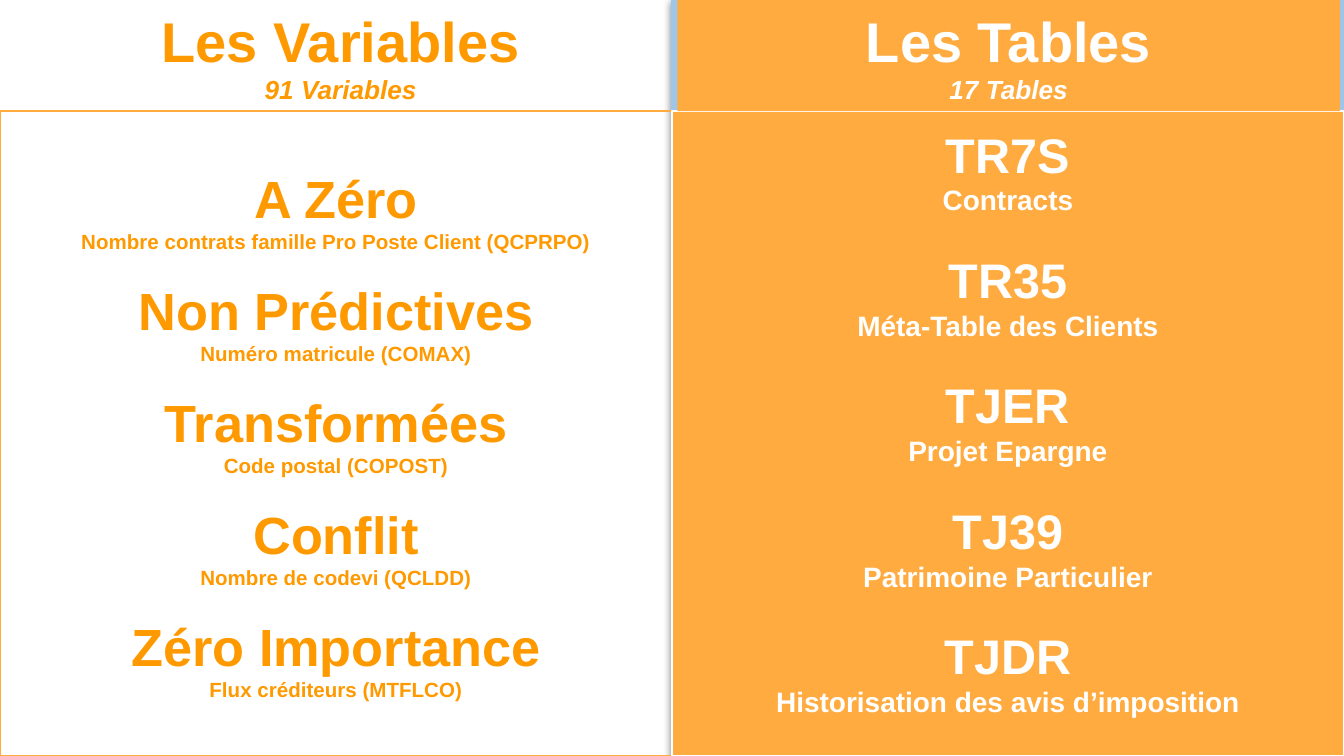
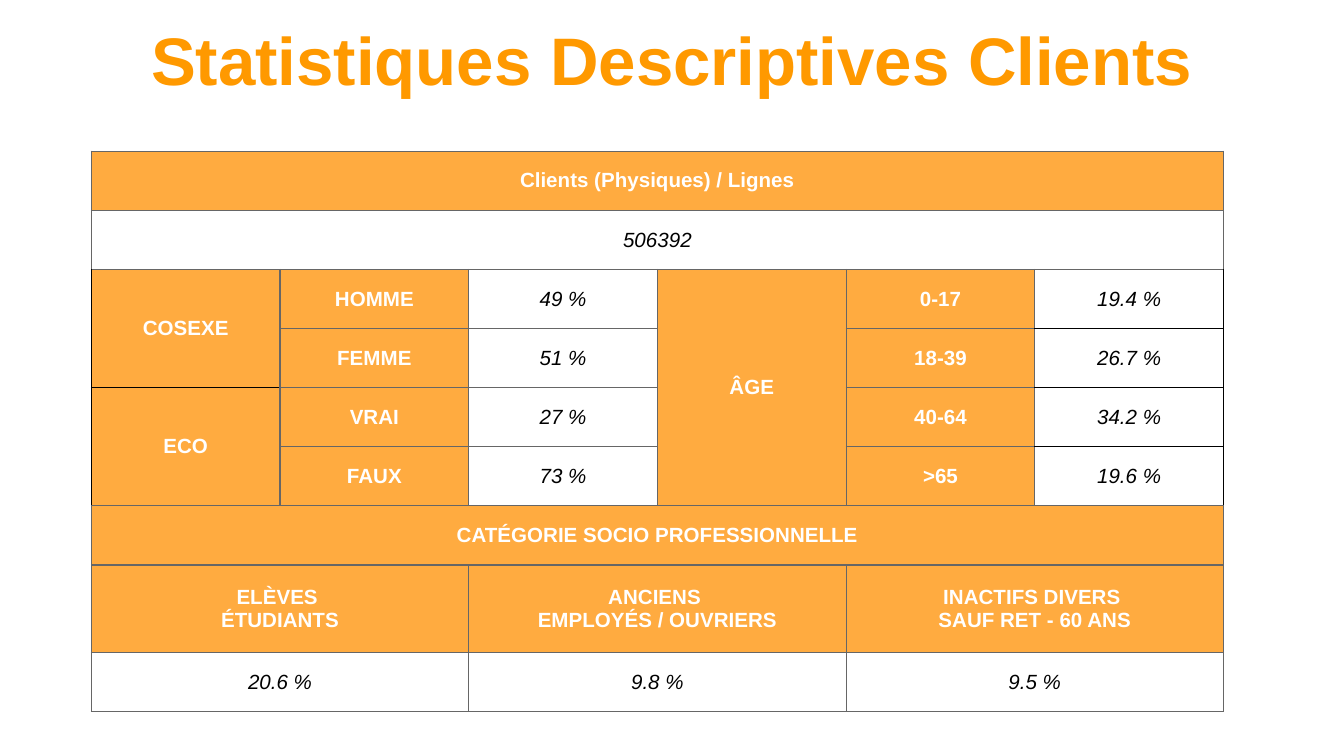
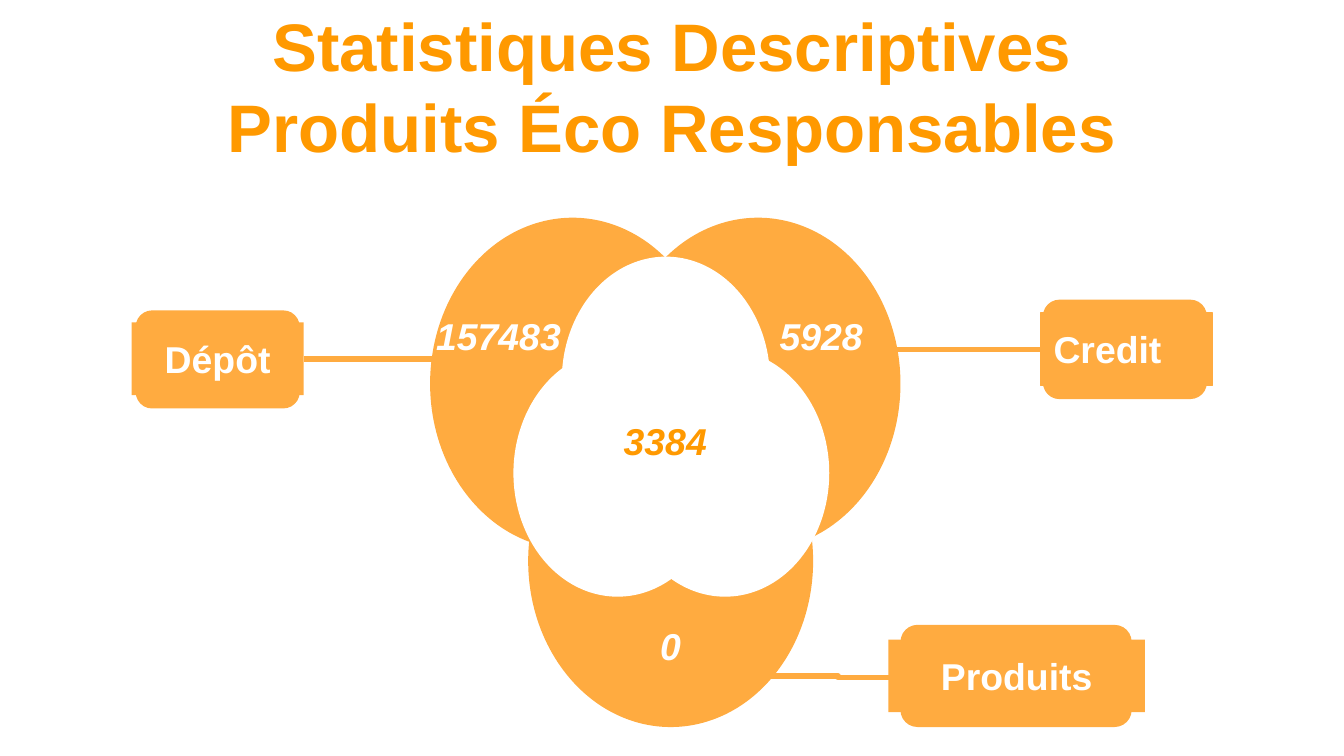
from lxml import etree
from pptx import Presentation
from pptx.dml.color import RGBColor
from pptx.enum.shapes import MSO_CONNECTOR, MSO_SHAPE as Shape
from pptx.enum.text import MSO_ANCHOR as Anchor, MSO_AUTO_SIZE as AutoSize, PP_ALIGN as Align
from pptx.oxml import parse_xml
from pptx.oxml.ns import nsdecls, qn
from pptx.util import Inches, Pt

# Shared look
ORANGE = RGBColor(0xFF, 0xAB, 0x40)
TITLE_ORANGE = RGBColor(0xFF, 0x99, 0x00)
BLUE = RGBColor(0x9F, 0xC5, 0xE8)
WHITE = RGBColor(0xFF, 0xFF, 0xFF)
BLACK = RGBColor(0x00, 0x00, 0x00)
GREY = RGBColor(0x66, 0x66, 0x66)
FONT = "Arial"
TITLE = {"size": Pt(36), "bold": True, "color": TITLE_ORANGE}
FIGURE = {"size": Pt(20), "bold": True, "italic": True, "color": WHITE}
LABEL = {"size": Pt(20), "bold": True, "color": WHITE}
HEADER_CELL = {"size": Pt(11), "bold": True, "color": WHITE}
VALUE_CELL = {"size": Pt(11), "bold": False, "italic": True, "color": BLACK}

# The slide is a grid of 100 columns by 56.25 rows
COLUMNS, ROWS = 100, 56.25
UNIT = Inches(0.1)
HALF, HEADER_ROWS = COLUMNS / 2, 8.27
MARGINS = ("margin_left", "margin_top", "margin_right", "margin_bottom")


def grid(*lengths):
    return [round(length * UNIT) for length in lengths]


def format_frame(frame, anchor=Anchor.MIDDLE, auto_size=AutoSize.NONE):
    frame.word_wrap = True
    frame.auto_size = auto_size
    frame.vertical_anchor = anchor
    for margin in MARGINS:
        setattr(frame, margin, UNIT)


def write(frame, lines, align=Align.CENTER):
    """Write (text, font format, space before in points) lines as paragraphs."""
    for index, (text, font_format, gap) in enumerate(lines):
        paragraph = frame.add_paragraph() if index else frame.paragraphs[0]
        paragraph.text = text
        paragraph.alignment = align
        paragraph.space_before = Pt(gap)
        for run in paragraph.runs:
            run.font.name = FONT
            for name, value in font_format.items():
                if name == "color":
                    run.font.color.rgb = value
                else:
                    setattr(run.font, name, value)


def add_title(slide, box, lines):
    title = slide.shapes.title
    title.left, title.top, title.width, title.height = grid(*box)
    format_frame(title.text_frame)
    write(title.text_frame, lines)


def add_box(slide, kind, box, fill=None, line=None):
    shape = slide.shapes.add_shape(kind, *grid(*box))
    shape.shadow.inherit = False
    if fill is None:
        shape.fill.background()
    else:
        shape.fill.solid()
        shape.fill.fore_color.rgb = fill
    if line is None:
        shape.line.fill.background()
    else:
        shape.line.color.rgb = line
        shape.line.width = Pt(0.75)
    return shape


def add_text(slide, box, text, font_format):
    frame = slide.shapes.add_textbox(*grid(*box)).text_frame
    format_frame(frame)
    write(frame, [(text, font_format, 0)])


def add_shadow(shape):
    properties = shape._element.spPr
    properties.remove(properties.find(qn("a:effectLst")))
    properties.append(parse_xml(
        f'<a:effectLst {nsdecls("a")}><a:outerShdw blurRad="{Pt(4.5)}" dist="{Pt(1.5)}" '
        'dir="5400000" algn="bl" rotWithShape="0"><a:srgbClr val="000000">'
        '<a:alpha val="50000"/></a:srgbClr></a:outerShdw></a:effectLst>'))


def add_link(slide, start, end):
    link = slide.shapes.add_connector(MSO_CONNECTOR.ELBOW, *grid(*start, *end))
    link.line.color.rgb = ORANGE
    link.line.width = Pt(3)
    etree.SubElement(link._element.spPr, qn("a:effectLst"))
    return link


def add_label(slide, rounded_box, box, text, align=Align.CENTER, line=None):
    rounded = add_box(slide, Shape.ROUNDED_RECTANGLE, rounded_box, ORANGE)
    label = add_box(slide, Shape.RECTANGLE, box, ORANGE, line)
    format_frame(label.text_frame, Anchor.TOP, AutoSize.SHAPE_TO_FIT_TEXT)
    write(label.text_frame, [(text, LABEL, 0)], align)
    return rounded, label


# Slide 1: variables and tables
def heading_lines(name, count, color):
    return [(name, {"size": Pt(30), "bold": True, "color": color}, 0),
            (count, {"size": Pt(14), "bold": True, "italic": True, "color": color}, 0)]


def pair_lines(pairs, color, name_size, detail_size):
    """Each name with its detail, one detail line apart from the next pair."""
    lines = []
    for index, (name, detail) in enumerate(pairs):
        gap = 1.2 * detail_size if index else 0
        lines.append((name, {"size": Pt(name_size), "bold": True, "color": color}, gap))
        lines.append((detail, {"size": Pt(detail_size), "bold": True, "color": color}, 0))
    return lines


VARIABLES = [
    ("A Zéro", "Nombre contrats famille Pro Poste Client (QCPRPO)"),
    ("Non Prédictives", "Numéro matricule (COMAX)"),
    ("Transformées", "Code postal (COPOST)"),
    ("Conflit", "Nombre de codevi (QCLDD)"),
    ("Zéro Importance", "Flux créditeurs (MTFLCO)"),
]
TABLES = [
    ("TR7S", "Contracts"),
    ("TR35", "Méta-Table des Clients"),
    ("TJER", "Projet Epargne"),
    ("TJ39", "Patrimoine Particulier"),
    ("TJDR", "Historisation des avis d’imposition"),
]


def build_overview(slide):
    add_shadow(add_box(slide, Shape.RECTANGLE, (HALF, 0, HALF, ROWS), BLUE, BLUE))
    add_title(slide, (0.7, 0, 49.3, HEADER_ROWS),
              heading_lines("Les Variables", "91 Variables", TITLE_ORANGE))

    body_rows = ROWS - HEADER_ROWS
    panels = [
        (0, None, ORANGE, Anchor.MIDDLE, pair_lines(VARIABLES, TITLE_ORANGE, 28, 11)),
        (HALF, ORANGE, WHITE, Anchor.TOP, pair_lines(TABLES, WHITE, 26, 15)),
    ]
    for left, fill, line, anchor, lines in panels:
        panel = add_box(slide, Shape.RECTANGLE, (left, HEADER_ROWS, HALF, body_rows), fill, line)
        format_frame(panel.text_frame, anchor)
        write(panel.text_frame, lines)

    header = add_box(slide, Shape.RECTANGLE, (50.4, 0, 49.3, HEADER_ROWS), ORANGE)
    format_frame(header.text_frame)
    write(header.text_frame, heading_lines("Les Tables", "17 Tables", WHITE))


# Slide 2: client statistics, as (row, column, row span, column span, text)
HEADERS = [
    (0, 0, 1, 6, "Clients (Physiques) / Lignes"),
    (2, 0, 2, 1, "COSEXE"),
    (4, 0, 2, 1, "ECO"),
    (2, 3, 4, 1, "ÂGE"),
    (6, 0, 1, 6, "CATÉGORIE SOCIO PROFESSIONNELLE"),
    (7, 0, 1, 2, "ELÈVES \vÉTUDIANTS"),
    (7, 2, 1, 2, "ANCIENS \vEMPLOYÉS / OUVRIERS"),
    (7, 4, 1, 2, "INACTIFS DIVERS \vSAUF RET - 60 ANS"),
]
VALUES = [
    (1, 0, 1, 6, "506392"),
    (8, 0, 1, 2, "20.6 %"),
    (8, 2, 1, 2, "9.8 %"),
    (8, 4, 1, 2, "9.5 %"),
]
DETAILS = [
    ("HOMME", "49 %", "0-17", "19.4 %"),
    ("FEMME", "51 %", "18-39", "26.7 %"),
    ("VRAI", "27 %", "40-64", "34.2 %"),
    ("FAUX", "73 %", ">65", "19.6 %"),
]
ROW_HEIGHTS = [4.4] * 7 + [6.5, 4.4]
COLUMN_WIDTHS = [14.04] * 6
BLACK_EDGES = (
    {(row, 0, "lnL") for row in range(2, 6)}
    | {(row, 5, "lnR") for row in range(2, 6)}
    | {(row, 5, "lnB") for row in range(2, 5)}
    | {(row, 5, "lnT") for row in range(3, 6)}
    | {(3, 0, "lnB"), (4, 0, "lnT")}
)


def add_borders(cell, row, column):
    properties = cell._tc.get_or_add_tcPr()
    for edge in ("lnL", "lnR", "lnT", "lnB"):
        color = BLACK if (row, column, edge) in BLACK_EDGES else GREY
        properties.append(parse_xml(
            f'<a:{edge} {nsdecls("a")} w="{Pt(0.75)}"><a:solidFill>'
            f'<a:srgbClr val="{color}"/></a:solidFill></a:{edge}>'))


def fill_cell(table, entry, fill, font_format):
    row, column, row_span, column_span, text = entry
    cell = table.cell(row, column)
    if row_span * column_span > 1:
        cell.merge(table.cell(row + row_span - 1, column + column_span - 1))
    cell.fill.solid()
    cell.fill.fore_color.rgb = fill
    cell.vertical_anchor = Anchor.MIDDLE
    for margin in MARGINS:
        setattr(cell, margin, UNIT)
    write(cell.text_frame, [(text, font_format, 0)])


def build_statistics(slide):
    add_title(slide, (8.9, 0, 82.2, 8.7), [("Statistiques Descriptives Clients", TITLE, 0)])
    table = slide.shapes.add_table(
        len(ROW_HEIGHTS), len(COLUMN_WIDTHS),
        *grid(6.8, 11.25, sum(COLUMN_WIDTHS), sum(ROW_HEIGHTS))).table
    table.first_row = table.horz_banding = False
    for row, height in zip(table.rows, grid(*ROW_HEIGHTS)):
        row.height = height
    for column, width in zip(table.columns, grid(*COLUMN_WIDTHS)):
        column.width = width
    for row in range(len(ROW_HEIGHTS)):
        for column in range(len(COLUMN_WIDTHS)):
            add_borders(table.cell(row, column), row, column)

    headers, values = list(HEADERS), list(VALUES)
    for row, details in enumerate(DETAILS, start=2):
        for column, text in zip((1, 2, 4, 5), details):
            target = headers if column in (1, 4) else values
            target.append((row, column, 1, 1, text))
    for entry in headers:
        fill_cell(table, entry, ORANGE, HEADER_CELL)
    for entry in values:
        fill_cell(table, entry, WHITE, VALUE_CELL)


# Slide 3: three product families and their overlap
def build_products(slide):
    add_title(slide, (8.9, 0, 82.2, 12.7),
              [("Statistiques Descriptives Produits Éco Responsables", TITLE, 0)])

    # Orange families, then the white overlap
    for left, top in ((45.8, 16.2), (32, 16.2), (39.3, 29.4)):
        add_box(slide, Shape.OVAL, (left, top, 21.2, 24.7), ORANGE)
    for left, top in ((41.8, 19.1), (46.2, 26), (38.2, 26)):
        add_box(slide, Shape.FLOWCHART_CONNECTOR, (left, top, 15.5, 18.4), WHITE)

    # Figures
    add_text(slide, (30.3, 22.3, 13.6, 5.4), "157483", FIGURE)
    add_text(slide, (54.3, 22.3, 13.6, 5.4), "5928", FIGURE)
    add_text(slide, (43.4, 30.4, 12.2, 4.8), "3384", {**FIGURE, "color": TITLE_ORANGE})
    zero = add_box(slide, Shape.RECTANGLE, (43.1, 45.3, 13.6, 5.4), ORANGE)
    format_frame(zero.text_frame)
    write(zero.text_frame, [("0", FIGURE, 0)])

    # Labels and their links
    _, deposit = add_label(slide, (10.1, 23.1, 12.2, 7.3), (9.8, 24, 12.8, 5.4), "Dépôt")
    credit, _ = add_label(slide, (77.6, 22.3, 12.2, 7.4), (77.4, 23.3, 12.8, 5.4), "Credit",
                          Align.LEFT, ORANGE)
    add_label(slide, (67, 46.5, 17.2, 7.6), (66.1, 47.6, 19.1, 5.4), "Produits")
    add_link(slide, (22.6, 26.7), (33.8, 26.7)).begin_connect(deposit, 3)
    add_link(slide, (66.4, 26), (77.6, 26.1)).end_connect(credit, 1)
    add_link(slide, (56.7, 50.3), (68, 50.4))


def main():
    presentation = Presentation()
    presentation.slide_width, presentation.slide_height = grid(COLUMNS, ROWS)
    title_only = presentation.slide_layouts[5]
    for build in (build_overview, build_statistics, build_products):
        build(presentation.slides.add_slide(title_only))
    presentation.save("out.pptx")


if __name__ == "__main__":
    main()
